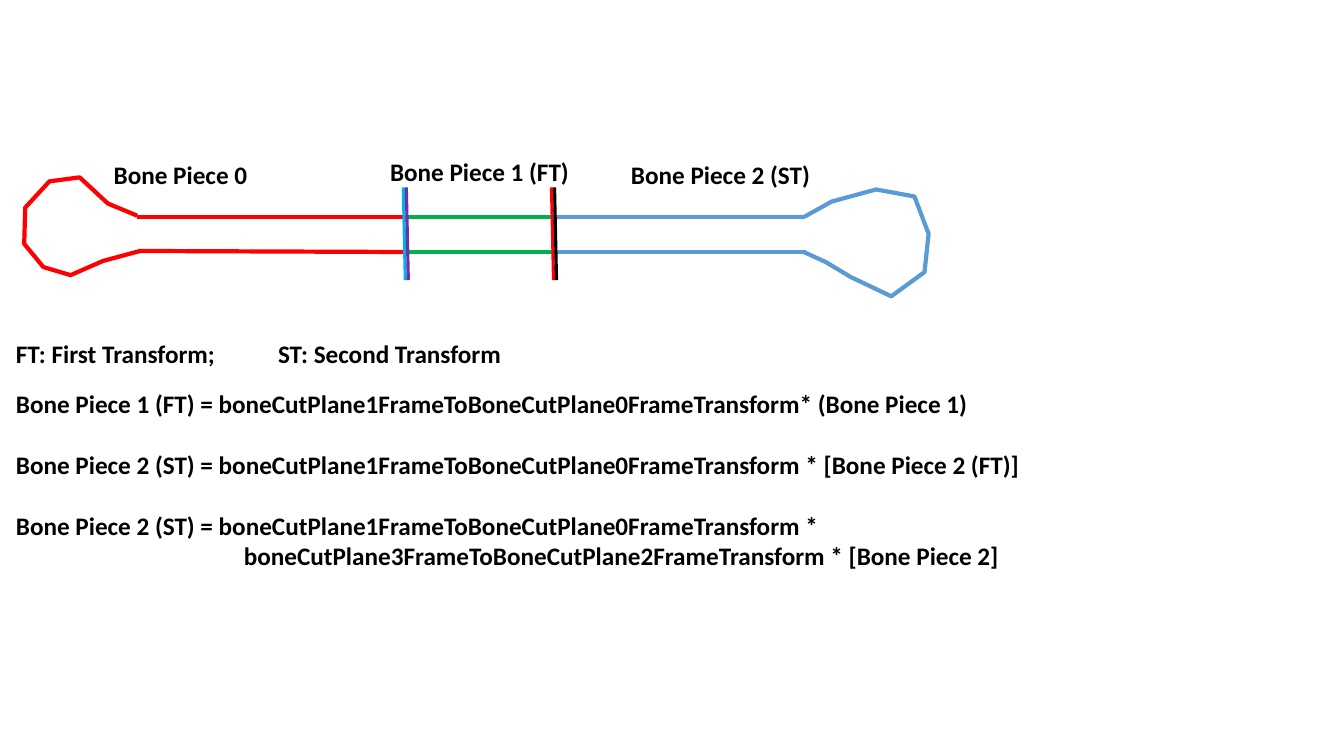
from lxml import etree
from pptx import Presentation
from pptx.dml.color import RGBColor
from pptx.enum.shapes import MSO_CONNECTOR
from pptx.oxml.ns import qn
from pptx.util import Inches, Pt

STRAIGHT = MSO_CONNECTOR.STRAIGHT
RED, GREEN, BLUE = "FF0000", "00B050", "5B9BD5"
SKY, PURPLE, BLACK = "00B0F0", "7030A0", "000000"

# Points below are inches from the top left of the bone's box.
LEFT_END = [(1.12, 0.64), (0.83, 0.52), (0.55, 0.26), (0.25, 0.3), (0.01, 0.56),
            (0, 0.92), (0.19, 1.15), (0.46, 1.23), (0.78, 1.09), (1.15, 0.99)]
RIGHT_END = [(7.74, 0.65), (8.01, 0.5), (8.45, 0.38), (8.83, 0.45), (8.97, 0.82),
             (8.93, 1.2), (8.6, 1.44), (8.2, 1.25), (7.95, 1.1), (7.73, 1)]
SHAFTS = [(RED, (1.12, 0.65), (3.77, 0.65)), (RED, (1.14, 0.99), (3.79, 1)),
          (GREEN, (3.77, 0.65), (5.24, 0.65)), (GREEN, (3.79, 1), (5.26, 1)),
          (BLUE, (5.24, 0.65), (7.74, 0.65)), (BLUE, (5.24, 1), (7.75, 1))]
CUTS = [(SKY, 3.78), (PURPLE, 3.81), (RED, 5.25), (BLACK, 5.28)]
LABELS = [("Bone Piece 0", 0.79, 0.03, 1.54),
          ("Bone Piece 1 (FT)", 3.53, 0, 1.99),
          ("Bone Piece 2 (ST)", 5.92, 0.03, 1.99)]

FIRST = "boneCutPlane1FrameToBoneCutPlane0FrameTransform"
SECOND = "boneCutPlane3FrameToBoneCutPlane2FrameTransform"
RULES = [f"Bone Piece 1 (FT) = {FIRST}* (Bone Piece 1)",
         f"Bone Piece 2 (ST) = {FIRST} * [Bone Piece 2 (FT)]",
         f"Bone Piece 2 (ST) = {FIRST} *"]
REST = f"{SECOND} * [Bone Piece 2]"


def color(code):
    return RGBColor.from_string(code)


def add_run(para, text):
    run = para.add_run()
    run.text = text
    font = run.font
    font.name, font.size, font.bold = "Calibri", Pt(18), True
    font.color.rgb = color(BLACK)


def add_box(slide, left, top, width, height, wrap):
    shape = slide.shapes.add_textbox(*map(Inches, (left, top, width, height)))
    shape.text_frame.word_wrap = wrap
    return shape.text_frame


def add_line(shapes, start, end, code, width):
    line = shapes.add_connector(STRAIGHT, *map(Inches, (*start, *end)))
    line.line.color.rgb = color(code)
    line.line.width = Pt(width)
    etree.SubElement(line._element.spPr, qn("a:effectLst"))


def add_end(shapes, points, code):
    """Draw the open outline of one end of the bone."""
    spots = [(Inches(x), Inches(y)) for x, y in points]
    pen = shapes.build_freeform(*spots[0], scale=1.0)
    pen.add_line_segments(spots[1:], close=False)
    shape = pen.convert_to_shape()
    shape.shadow.inherit = False
    shape.fill.background()
    shape.line.color.rgb = color(code)
    shape.line.width = Pt(3)


def add_bone(slide, left, top):
    def place(point):
        return left + point[0], top + point[1]

    for text, x, y, width in LABELS:
        frame = add_box(slide, *place((x, y)), width, 0.4, False)
        add_run(frame.paragraphs[0], text)
    group = slide.shapes.add_group_shape().shapes
    for code, start, end in SHAFTS:
        add_line(group, place(start), place(end), code, 3)
    for points, code in ((LEFT_END, RED), (RIGHT_END, BLUE)):
        add_end(group, [place(point) for point in points], code)
    for code, x in CUTS:
        add_line(slide.shapes, place((x, 1.28)), place((x - 0.02, 0.36)), code, 2.25)


def add_key(slide, left, top, width, height):
    para = add_box(slide, left, top, width, height, True).paragraphs[0]
    stops = etree.SubElement(para._p.get_or_add_pPr(), qn("a:tabLst"))
    etree.SubElement(stops, qn("a:tab"), pos=str(Inches(2.6)), algn="l")
    add_run(para, "FT: First Transform;\tST: Second Transform")


def add_rules(slide, left, top, width, height):
    frame = add_box(slide, left, top, width, height, True)
    for i, rule in enumerate(RULES):
        para = frame.add_paragraph() if i else frame.paragraphs[0]
        para.space_before = Pt(22 if i else 0)
        add_run(para, rule)
    para = frame.add_paragraph()
    para._p.get_or_add_pPr().set("marL", str(Inches(2.26)))
    add_run(para, REST)


def main():
    deck = Presentation()
    deck.slide_width, deck.slide_height = Inches(13.33), Inches(7.5)
    slide = deck.slides.add_slide(deck.slide_layouts[6])
    add_bone(slide, 0.24, 1.5)
    add_key(slide, 0.06, 3.31, 5.06, 0.4)
    add_rules(slide, 0.06, 3.8, 13.08, 2.22)
    deck.save("out.pptx")


if __name__ == "__main__":
    main()
